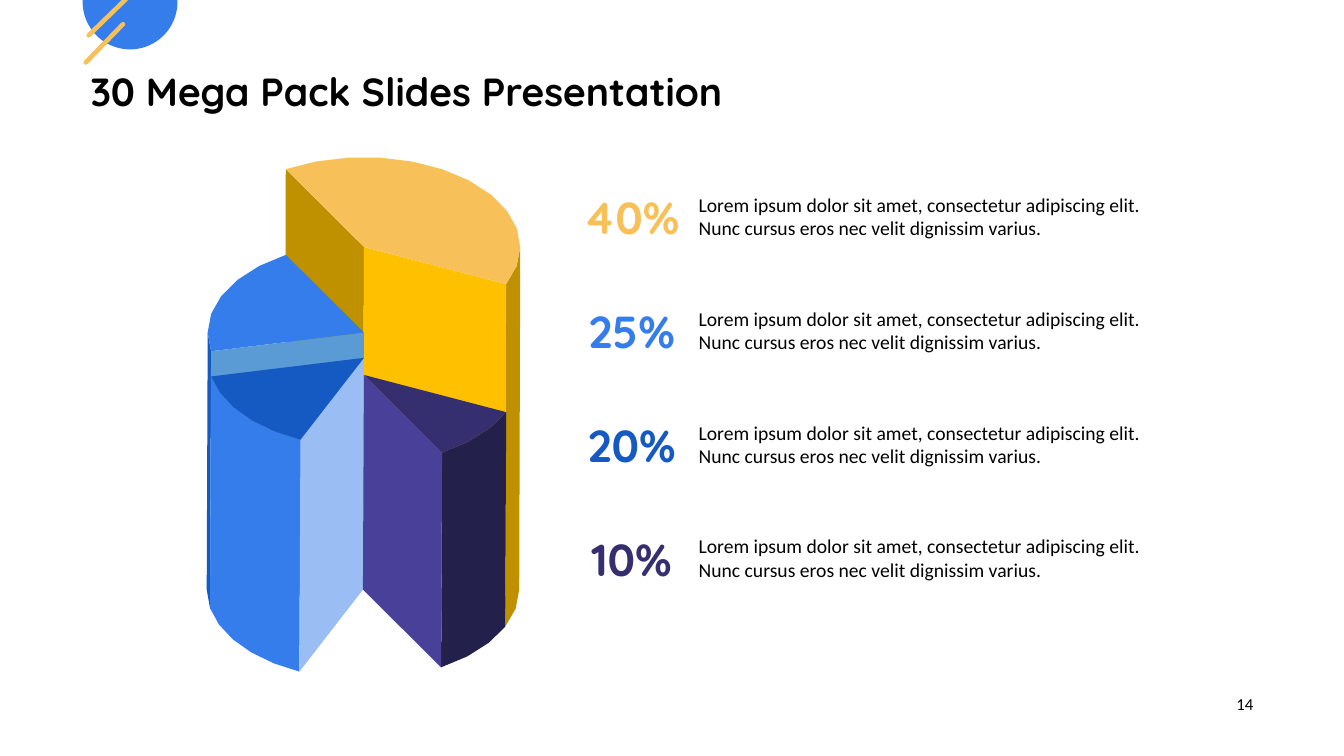
from dataclasses import dataclass
from math import ceil, cos, radians, sin

from lxml.etree import SubElement
from pptx import Presentation
from pptx.dml.color import RGBColor
from pptx.enum.shapes import MSO_CONNECTOR, MSO_SHAPE
from pptx.enum.text import MSO_ANCHOR, PP_ALIGN
from pptx.oxml.ns import qn
from pptx.shapes.autoshape import Shape
from pptx.slide import Slide
from pptx.util import Inches, Pt

Point = tuple[float, float]
Box = tuple[float, float, float, float]


@dataclass(frozen=True)
class Theme:
    """Colours, fonts and type sizes of the slide."""
    black: str = "000000"
    gold: str = "F7C059"
    amber: str = "FFC000"
    bronze: str = "BF9000"
    blue: str = "357DEA"
    steel: str = "5B9BD5"
    navy: str = "145AC2"
    pale: str = "9ABEF4"
    plum: str = "352F70"
    violet: str = "494199"
    night: str = "24204C"
    head: str = "Quicksand"
    body: str = "Calibri"
    title: int = 28
    share: int = 32
    note: int = 14
    page: int = 12
    stroke: float = 3.25


@dataclass(frozen=True)
class Wall:
    """A flat inner side of a slice, at an angle in degrees."""
    angle: float
    color: str


@dataclass(frozen=True)
class Slice:
    """One raised pie slice with its share and visible rim."""
    share: str
    top: float
    start: float
    end: float
    rim: tuple[float, float]
    color: str
    side: str
    walls: tuple[Wall, ...]


THEME = Theme()
HUB, BASE = 3.61, 3.6
FLOOR = 5.85
WIDE, DEEP = 1.55, 0.89
STEP = 12.5
ROW = 1.13
NOTE = ("Lorem ipsum dolor sit amet, consectetur adipiscing elit. "
        "Nunc cursus eros nec velit dignissim varius.")
SLICES = (
    Slice("40%", 2.45, 240, 384.5, (0, 24.5), THEME.gold, THEME.bronze,
          (Wall(240, THEME.bronze), Wall(24.5, THEME.amber))),
    Slice("25%", 3.3, 168, 240, (168, 180), THEME.blue, THEME.navy,
          (Wall(168, THEME.steel),)),
    Slice("20%", 3.55, 114, 168, (114, 168), THEME.navy, THEME.blue,
          (Wall(114, THEME.pale),)),
    Slice("10%", 3.72, 24.5, 60, (24.5, 60), THEME.plum, THEME.night,
          (Wall(60, THEME.violet),)),
)
STRIPES = (((1.26, -0.02), (0.88, 0.35)), ((1.22, 0.24), (0.85, 0.62)))


def paint(shape: Shape, color: str) -> None:
    """Fill a shape flat, with no line or shadow."""
    shape.shadow.inherit = False
    shape.fill.solid()
    shape.fill.fore_color.rgb = RGBColor.from_string(color)
    shape.line.fill.background()


def write(slide: Slide, text: str, box: Box, size: int, color: str, font: str,
          bold: bool = False, align: PP_ALIGN = PP_ALIGN.LEFT,
          inset: Point = (0, 0), space: float = 1.0) -> None:
    """Place one paragraph in a wrapped, centred text box."""
    frame = slide.shapes.add_textbox(*map(Inches, box)).text_frame
    frame.word_wrap = True
    frame.vertical_anchor = MSO_ANCHOR.MIDDLE
    frame.margin_left = frame.margin_right = Inches(inset[0])
    frame.margin_top = frame.margin_bottom = Inches(inset[1])
    para = frame.paragraphs[0]
    para.text = text
    para.alignment = align
    para.line_spacing = space
    para.font.name = font
    para.font.size = Pt(size)
    para.font.bold = bold
    para.font.color.rgb = RGBColor.from_string(color)


def on_rim(hub: Point, angle: float) -> Point:
    """Return the rim point at an angle around a hub."""
    turn = radians(angle)
    return hub[0] + WIDE * cos(turn), hub[1] + DEEP * sin(turn)


def arc(hub: Point, start: float, end: float) -> list[Point]:
    """Return evenly spaced points along the rim between two angles."""
    count = ceil((end - start) / STEP)
    gap = (end - start) / count
    return [on_rim(hub, start + gap * i) for i in range(count + 1)]


def draw_face(slide: Slide, points: list[Point], color: str) -> None:
    """Draw one closed face of the pie."""
    spots = [(Inches(x), Inches(y)) for x, y in points]
    pen = slide.shapes.build_freeform(*spots[0])
    pen.add_line_segments(spots[1:], close=True)
    paint(pen.convert_to_shape(), color)


def draw_slice(slide: Slide, part: Slice) -> None:
    """Draw the rim, inner walls and top of a slice."""
    hub, base = (HUB, part.top), (BASE, FLOOR)
    rim = arc(hub, *part.rim) + arc(base, *part.rim)[::-1]
    draw_face(slide, rim, part.side)
    for wall in part.walls:
        edge = [hub, on_rim(hub, wall.angle), on_rim(base, wall.angle), base]
        draw_face(slide, edge, wall.color)
    draw_face(slide, [hub] + arc(hub, part.start, part.end), part.color)


def draw_stripe(slide: Slide, head: Point, tail: Point) -> None:
    """Draw a round-ended accent stroke."""
    line = slide.shapes.add_connector(
        MSO_CONNECTOR.STRAIGHT, *map(Inches, head + tail))
    line.line.color.rgb = RGBColor.from_string(THEME.gold)
    line.line.width = Pt(THEME.stroke)
    props = line._element.spPr
    props.find(qn("a:ln")).set("cap", "rnd")
    SubElement(props, qn("a:effectLst"))


def main() -> None:
    """Build and save the slide."""
    deck = Presentation()
    deck.slide_width, deck.slide_height = Inches(13.33), Inches(7.5)
    slide = deck.slides.add_slide(deck.slide_layouts[6])
    write(slide, "30 Mega Pack Slides Presentation", (0.8, 0.51, 11.73, 0.85),
          THEME.title, THEME.black, THEME.head, bold=True,
          inset=(0.1, 0.05), space=0.9)
    disc = slide.shapes.add_shape(
        MSO_SHAPE.OVAL, *map(Inches, (0.82, -0.45, 0.94, 0.94)))
    paint(disc, THEME.blue)
    for head, tail in STRIPES:
        draw_stripe(slide, head, tail)
    write(slide, "14", (9.53, 6.78, 3, 0.4), THEME.page, THEME.black,
          THEME.body, align=PP_ALIGN.RIGHT, inset=(0.1, 0.05))
    for part in SLICES:
        draw_slice(slide, part)
    for i, part in enumerate(SLICES):
        drop = ROW * i
        write(slide, NOTE, (6.93, 1.91 + drop, 4.44, 0.47),
              THEME.note, THEME.black, THEME.body)
        write(slide, part.share, (5.73, 1.88 + drop, 1.07, 0.54),
              THEME.share, part.color, THEME.head, bold=True,
              align=PP_ALIGN.CENTER)
    deck.save("out.pptx")


if __name__ == "__main__":
    main()
